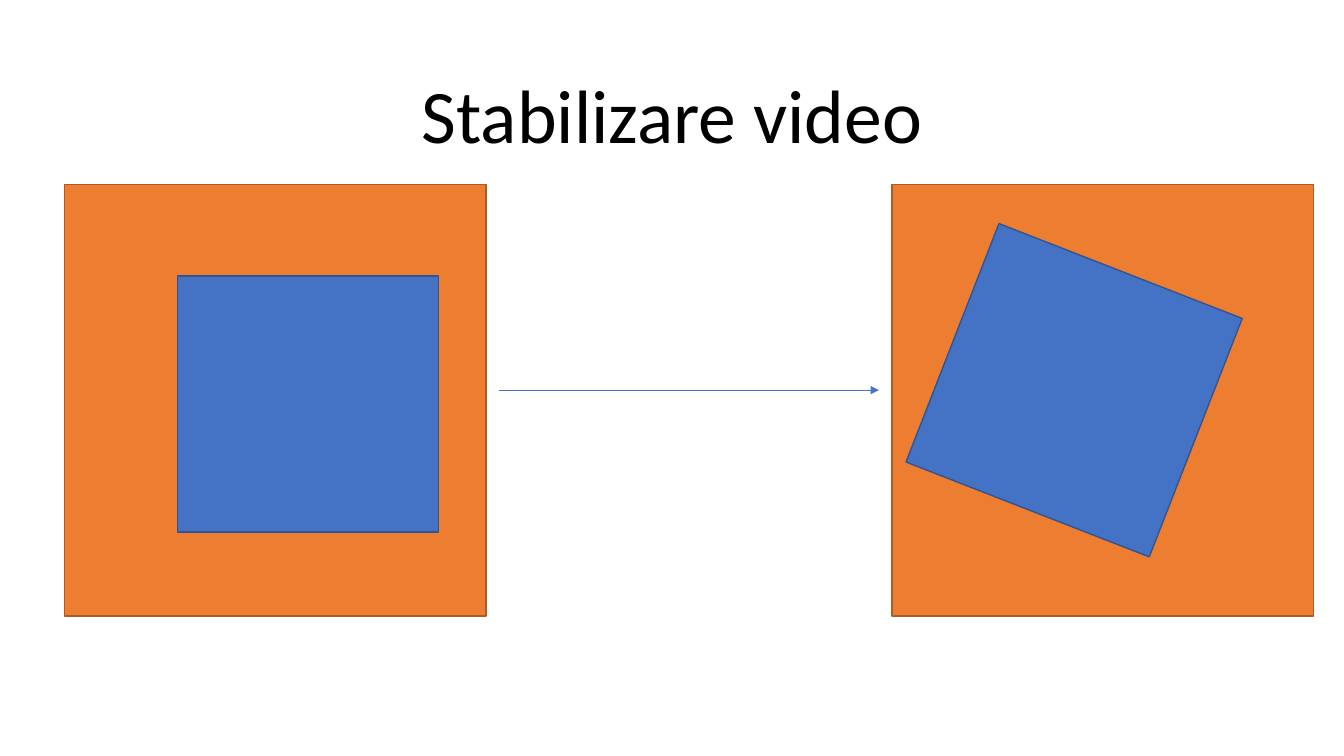
from lxml.etree import SubElement
from pptx import Presentation
from pptx.dml.color import RGBColor
from pptx.enum.shapes import MSO_CONNECTOR, MSO_SHAPE
from pptx.enum.text import MSO_ANCHOR, PP_ALIGN
from pptx.oxml.ns import qn
from pptx.util import Cm, Pt

COLORS = {
    "text": "000000",
    "frame": "ED7D31",
    "frame edge": "AF5C24",
    "square": "4472C4",
    "square edge": "325491",
    "arrow": "4472C4",
}
FRAME = (10.62, 10.87)
SQUARE = (6.58, 6.45)
TOP = 4.65


def color(name):
    return RGBColor.from_string(COLORS[name])


def add_rect(slide, box, name, angle=0):
    rect = slide.shapes.add_shape(MSO_SHAPE.RECTANGLE, *map(Cm, box))
    rect.shadow.inherit = False
    rect.fill.solid()
    rect.fill.fore_color.rgb = color(name)
    rect.line.color.rgb = color(name + " edge")
    rect.line.width = Pt(1)
    rect.rotation = angle


def add_title(slide, box, text):
    frame = slide.shapes.add_textbox(*map(Cm, box)).text_frame
    frame.word_wrap = True
    frame.vertical_anchor = MSO_ANCHOR.BOTTOM
    para = frame.paragraphs[0]
    para.alignment = PP_ALIGN.CENTER
    para.line_spacing = 0.9
    run = para.add_run()
    run.text = text
    run.font.name = "Calibri"
    run.font.size = Pt(54)
    run.font.color.rgb = color("text")


def add_view(slide, box, shift, angle=0):
    """Draw a video frame with a square shifted from its top left corner."""
    left, top = box[:2]
    add_rect(slide, box, "frame")
    add_rect(slide, (left + shift[0], top + shift[1], *SQUARE), "square", angle)


def add_arrow(slide, left, right, y):
    arrow = slide.shapes.add_connector(
        MSO_CONNECTOR.STRAIGHT, Cm(left), Cm(y), Cm(right), Cm(y))
    arrow.line.color.rgb = color("arrow")
    arrow.line.width = Pt(0.5)
    SubElement(arrow.line._get_or_add_ln(), qn("a:tailEnd"), type="triangle")
    SubElement(arrow._element.spPr, qn("a:effectLst"))


def main():
    deck = Presentation()
    deck.slide_width, deck.slide_height = Cm(33.87), Cm(19.05)
    slide = deck.slides.add_slide(deck.slide_layouts[6])

    # Title
    add_title(slide, (4.24, 1.8, 25.4, 2.36), "Stabilizare video")

    # Straight view on the left, turned view on the right
    add_view(slide, (1.63, TOP, *FRAME), (2.84, 2.31))
    add_view(slide, (22.48, TOP, *FRAME), (1.3, 1.96), 21.3)

    # Arrow between the views
    add_arrow(slide, 12.57, 22.15, 9.83)

    deck.save("out.pptx")


if __name__ == "__main__":
    main()
